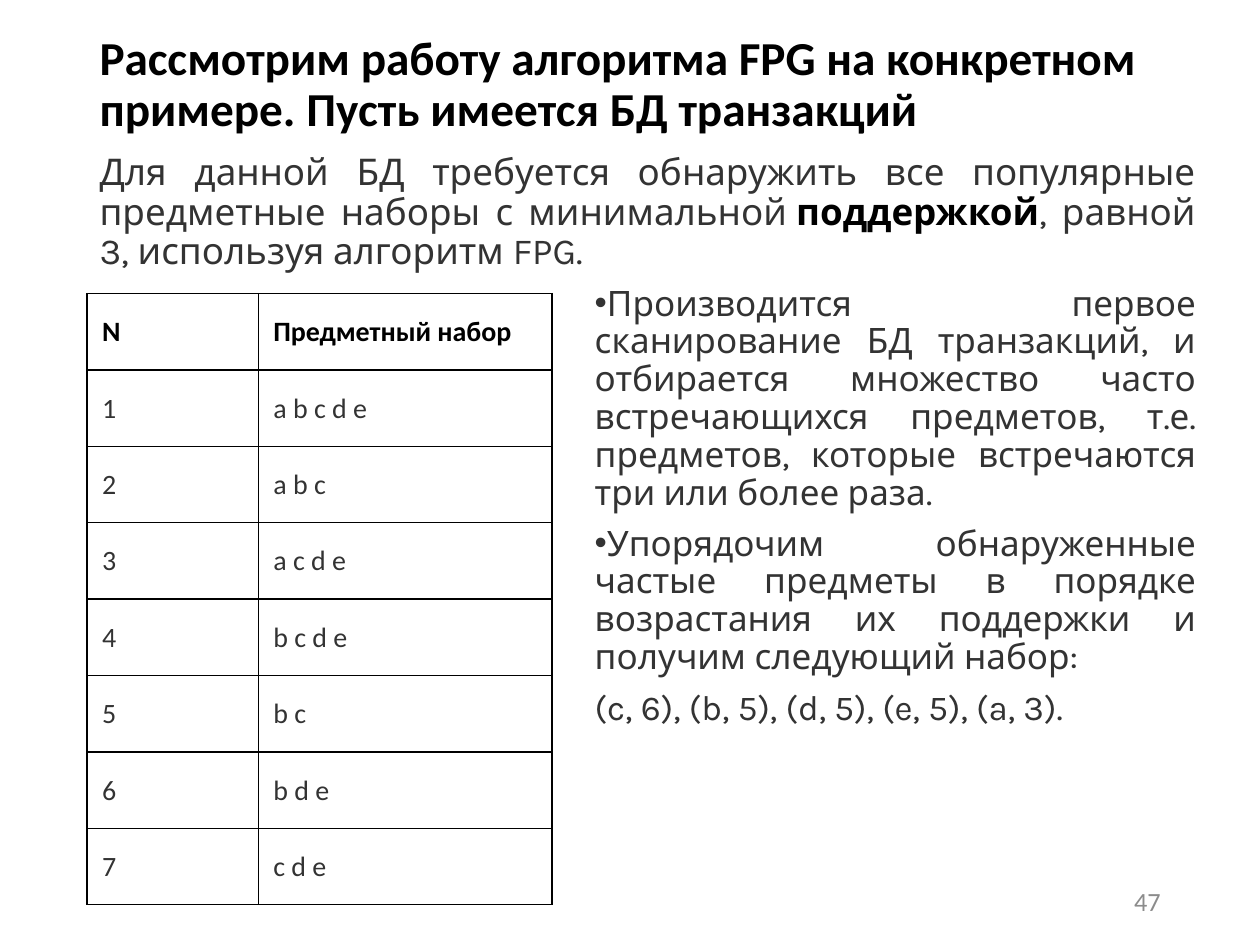
"""Build a slide on the FPG algorithm with a transaction table."""
from lxml.etree import SubElement
from pptx import Presentation
from pptx.dml.color import RGBColor
from pptx.enum.text import MSO_ANCHOR, MSO_AUTO_SIZE, PP_ALIGN
from pptx.oxml.ns import qn
from pptx.util import Inches, Pt

COLORS = {"black": "000000", "text": "333333", "number": "8C8C8C"}
TITLE = "Рассмотрим работу алгоритма FPG на конкретном примере. Пусть имеется БД транзакций"
TASK = [
    ("Для данной БД требуется обнаружить все популярные предметные наборы с минимальной\u00a0", False),
    ("поддержкой", True),
    (", равной 3, используя алгоритм FPG.", False),
]
STEPS = [
    ("Производится первое сканирование БД транзакций, и отбирается множество часто "
     "встречающихся предметов, т.е. предметов, которые встречаются три или более раза.", True),
    ("Упорядочим обнаруженные частые предметы в порядке возрастания их поддержки "
     "и получим следующий набор:", True),
    ("(c, 6), (b, 5), (d, 5), (e, 5), (a, 3).", False),
]
HEADER = ("N", "Предметный набор")
ITEMSETS = ["a b c d e", "a b c", "a c d e", "b c d e", "b c", "b d e", "c d e"]
PAGE = "47"
LEFT = 0.69
STEP_INDENT = 3.93
LINE_SPACING = 0.9
COLUMN_WIDTHS = (1.36, 2.33)
ROW_HEIGHT = 0.6


def place(shape, left, top, width, height):
    shape.left, shape.top = Inches(left), Inches(top)
    shape.width, shape.height = Inches(width), Inches(height)


def style(font, size, color, name="Calibri", bold=False):
    font.size, font.name, font.bold = Pt(size), name, bold
    font.color.rgb = RGBColor.from_string(COLORS[color])


def set_list(paragraph, indent, bulleted):
    props = paragraph._p.get_or_add_pPr()
    props.set("marL", str(Inches(indent)))
    props.set("indent", "0")
    if bulleted:
        SubElement(props, qn("a:buFont"), typeface="Arial")
        SubElement(props, qn("a:buChar"), char="•")
    else:
        SubElement(props, qn("a:buNone"))
    paragraph.alignment = PP_ALIGN.JUSTIFY
    paragraph.line_spacing = LINE_SPACING


def add_borders(cell):
    props = cell._tc.get_or_add_tcPr()
    for index, side in enumerate(("lnL", "lnR", "lnT", "lnB")):
        line = props.makeelement(qn(f"a:{side}"), {"w": str(Pt(1))})
        SubElement(SubElement(line, qn("a:solidFill")), qn("a:srgbClr"), val=COLORS["black"])
        props.insert(index, line)


def add_title(slide):
    title = slide.shapes.title
    place(title, LEFT, 0.08, 8.62, 1.2)
    frame = title.text_frame
    frame.text = TITLE
    frame.auto_size = MSO_AUTO_SIZE.NONE
    frame.vertical_anchor = MSO_ANCHOR.MIDDLE
    heading = frame.paragraphs[0]
    heading.alignment, heading.line_spacing = PP_ALIGN.LEFT, LINE_SPACING
    style(heading.font, 27, "black", bold=True)


def add_body(slide):
    body = slide.placeholders[1]
    place(body, LEFT, 1.17, 8.9, 5.78)
    frame = body.text_frame
    frame.auto_size = MSO_AUTO_SIZE.NONE
    task = frame.paragraphs[0]
    set_list(task, 0, False)
    task.space_before = Pt(0)
    for text, key_term in TASK:
        run = task.add_run()
        run.text = text
        style(run.font, 21, "black" if key_term else "text", "Karla", key_term)
    for text, bulleted in STEPS:
        step = frame.add_paragraph()
        step.text = text
        set_list(step, STEP_INDENT, bulleted)
        step.space_before = Pt(7.5)
        style(step.font, 20, "text", "Karla")


def add_transactions(slide):
    rows = [HEADER] + [(str(n), items) for n, items in enumerate(ITEMSETS, 1)]
    table = slide.shapes.add_table(
        len(rows), len(HEADER), Inches(LEFT), Inches(2.33),
        Inches(sum(COLUMN_WIDTHS)), Inches(ROW_HEIGHT * len(rows))).table
    table.horz_banding = False
    table.first_row = False
    for column, width in zip(table.columns, COLUMN_WIDTHS):
        column.width = Inches(width)
    for r, row in enumerate(rows):
        for c, text in enumerate(row):
            cell = table.cell(r, c)
            cell.text = text
            cell.fill.background()
            cell.vertical_anchor = MSO_ANCHOR.MIDDLE
            cell.margin_left = cell.margin_right = Inches(0.12)
            cell.margin_top = cell.margin_bottom = Inches(0.17)
            style(cell.text_frame.paragraphs[0].font, 16,
                  "text" if r else "black", bold=r == 0)
            add_borders(cell)


def add_page_number(slide):
    frame = slide.shapes.add_textbox(
        Inches(7.06), Inches(6.95), Inches(2.25), Inches(0.4)).text_frame
    frame.word_wrap = True
    frame.vertical_anchor = MSO_ANCHOR.MIDDLE
    number = frame.paragraphs[0]
    number.text = PAGE
    number.alignment = PP_ALIGN.RIGHT
    style(number.font, 15, "number")


def main():
    deck = Presentation()
    deck.slide_width, deck.slide_height = Inches(10), Inches(7.5)
    slide = deck.slides.add_slide(deck.slide_layouts[1])
    add_title(slide)
    add_body(slide)
    add_page_number(slide)
    add_transactions(slide)
    deck.save("out.pptx")


if __name__ == "__main__":
    main()
